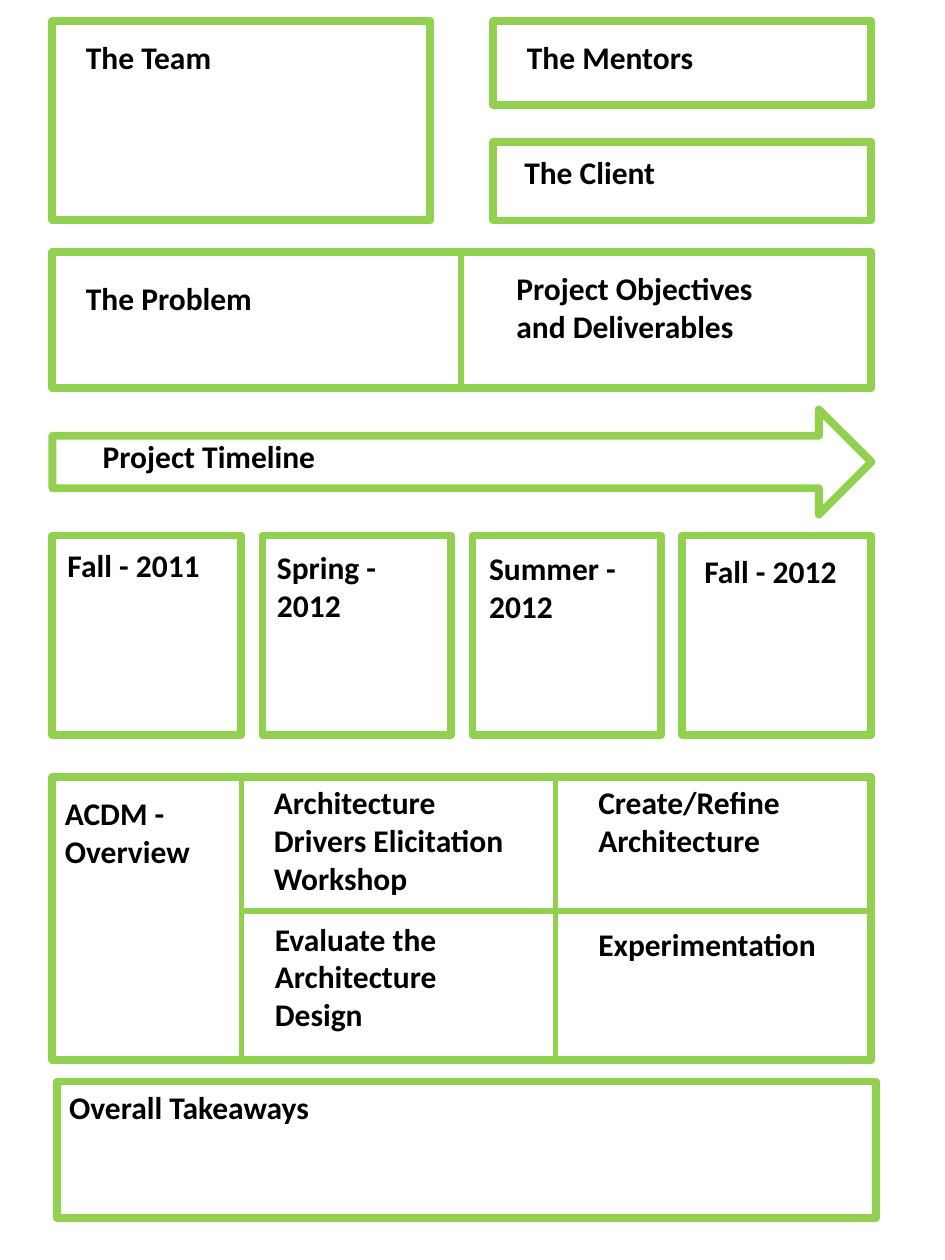
from pptx import Presentation
from pptx.dml.color import RGBColor
from pptx.enum.shapes import MSO_CONNECTOR, MSO_SHAPE
from pptx.enum.text import MSO_AUTO_SIZE
from pptx.oxml.ns import qn
from pptx.util import Inches, Pt
from lxml import etree

GREEN = RGBColor(0x92, 0xD0, 0x50)
WHITE = RGBColor(0xFF, 0xFF, 0xFF)
BLACK = RGBColor(0x00, 0x00, 0x00)
RECTANGLE = MSO_SHAPE.RECTANGLE
RIGHT_ARROW = MSO_SHAPE.RIGHT_ARROW
STRAIGHT = MSO_CONNECTOR.STRAIGHT
GROW = MSO_AUTO_SIZE.SHAPE_TO_FIT_TEXT

CELL = Inches(1) // 12
COLUMNS, ROWS = 90, 120
LEFT, WIDTH = 5, 78
RIGHT = LEFT + WIDTH


class Poster:
    font = "Calibri"
    text_size = Pt(18)
    frame_width = Pt(4.5)
    divider_width = Pt(3)

    def __init__(self, slide):
        self.shapes = slide.shapes

    def place(self, *cells):
        return [round(cell * CELL) for cell in cells]

    def frame(self, left, top, width, height, kind=RECTANGLE, fill=None):
        shape = self.shapes.add_shape(kind, *self.place(left, top, width, height))
        shape.shadow.inherit = False
        if fill is None:
            shape.fill.background()
        else:
            shape.fill.solid()
            shape.fill.fore_color.rgb = fill
        shape.line.color.rgb = GREEN
        shape.line.width = self.frame_width

    def divider(self, start_x, start_y, end_x, end_y):
        line = self.shapes.add_connector(
            STRAIGHT, *self.place(start_x, start_y, end_x, end_y))
        line.line.color.rgb = GREEN
        line.line.width = self.divider_width
        etree.SubElement(line._element.spPr, qn("a:effectLst"))

    def heading(self, text, left, top, width=26, lines=1):
        height = 1.2 + 3.65 * lines
        box = self.shapes.add_textbox(*self.place(left, top, width, height))
        frame = box.text_frame
        frame.word_wrap = True
        frame.auto_size = GROW
        frame.text = text
        font = frame.paragraphs[0].runs[0].font
        font.name = self.font
        font.size = self.text_size
        font.bold = True
        font.color.rgb = BLACK


def add_people(poster):
    poster.frame(47, 2, 36, 8)
    poster.frame(LEFT, 2, 36, 19)
    poster.frame(47, 13.5, 36, 7.5)
    poster.heading("The Team", 7, 3)
    poster.heading("The Mentors", 49, 3)
    poster.heading("The Client", 48.75, 14)


def add_problem(poster):
    poster.frame(LEFT, 24, WIDTH, 13)
    poster.divider(43.9, 24, 43.9, 37)
    poster.heading("The Problem", 7, 26)
    poster.heading("Project Objectives and Deliverables", 48, 25, lines=2)


def add_timeline(poster):
    poster.frame(LEFT, 39, WIDTH, 10, RIGHT_ARROW, WHITE)
    poster.heading("Project Timeline", 8.6, 41)
    terms = [
        ("Fall - 2011", 0.25, 0.4, 1),
        ("Spring - 2012", 0.2, 0.6, 2),
        ("Summer - 2012", 0.4, 0.7, 2),
        ("Fall - 2012", 0.9, 1, 1),
    ]
    for index, (term, indent, drop, lines) in enumerate(terms):
        left = LEFT + 20 * index
        poster.frame(left, 51, 18, 19)
        poster.heading(term, left + indent, 51 + drop, 16.3, lines)


def add_process(poster):
    top, middle, bottom = 74, 86.75, 101
    poster.frame(LEFT, top, WIDTH, bottom - top)
    poster.divider(23, top, 23, bottom)
    poster.divider(RIGHT, middle, 23, middle)
    poster.divider(52.9, top, 52.9, bottom)
    poster.heading("ACDM - Overview", LEFT, 75, 16.3, 2)
    for text, left, row, lines in [
        ("Architecture Drivers Elicitation Workshop", 24.9, top, 3),
        ("Create/Refine Architecture", 55.8, top, 2),
        ("Evaluate the Architecture Design", 25, 87, 3),
        ("Experimentation", 55.8, 87.5, 1),
    ]:
        poster.heading(text, left, row, 25.2, lines)


def add_takeaways(poster):
    poster.frame(5.4, 103, WIDTH, 13)
    poster.heading("Overall Takeaways", 5.4, 103, 28.5)


def main():
    deck = Presentation()
    deck.slide_width = COLUMNS * CELL
    deck.slide_height = ROWS * CELL
    poster = Poster(deck.slides.add_slide(deck.slide_layouts[6]))
    add_people(poster)
    add_problem(poster)
    add_timeline(poster)
    add_process(poster)
    add_takeaways(poster)
    deck.save("out.pptx")


if __name__ == "__main__":
    main()
